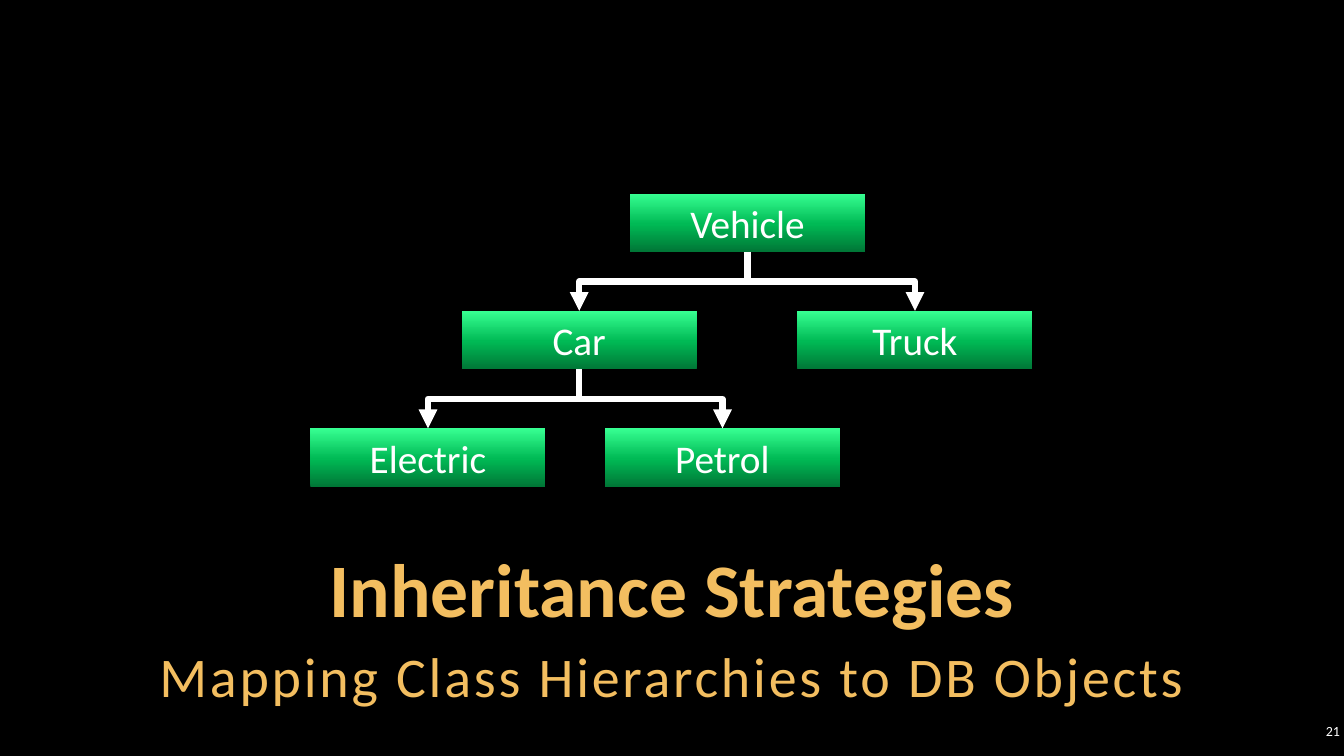
from copy import deepcopy
from pptx import Presentation
from pptx.dml.color import RGBColor
from pptx.enum.shapes import MSO_CONNECTOR, MSO_SHAPE
from pptx.enum.text import MSO_ANCHOR, PP_ALIGN
from pptx.oxml.ns import qn
from pptx.util import Inches, Pt
from lxml import etree

RECT, ELBOW = MSO_SHAPE.RECTANGLE, MSO_CONNECTOR.ELBOW
TOP, MIDDLE, BOTTOM = MSO_ANCHOR.TOP, MSO_ANCHOR.MIDDLE, MSO_ANCHOR.BOTTOM
CENTER, RIGHT = PP_ALIGN.CENTER, PP_ALIGN.RIGHT

COLORS = {"back": "000000", "gold": "F3BE60", "white": "FFFFFF"}
SHADES = [(0, "007636"), (0.48, "00BA55"), (1, "37FF92")]
FONT = "Calibri"
WIDE, HIGH = 13.33, 7.5
BOX_W, BOX_H = 2.33, 0.58
FIRST, PITCH = 1.92, 1.165

NODES = {
    "Vehicle": (6.25, 0),
    "Car": (4.58, 1),
    "Truck": (7.91, 1),
    "Electric": (3.08, 2),
    "Petrol": (6, 2),
}
LINKS = [("Vehicle", "Car"), ("Vehicle", "Truck"),
         ("Car", "Electric"), ("Car", "Petrol")]
TEXTS = [
    ("Inheritance Strategies", (1, 5.42, WIDE - 2, 0.9), 54, "gold", CENTER, BOTTOM),
    ("Mapping Class Hierarchies to DB Objects", (1, 6.29, WIDE - 2, 0.79),
     40, "gold", CENTER, TOP),
    ("21", (WIDE - 0.47, 7.14, 0.47, 0.22), 10, "white", RIGHT, MIDDLE),
]


def rgb(name):
    return RGBColor.from_string(COLORS[name])


def write(shape, text, size, color, align, anchor):
    frame = shape.text_frame
    frame.word_wrap = True
    frame.vertical_anchor = anchor
    para = frame.paragraphs[0]
    para.text = text
    para.alignment = align
    para.font.name = FONT
    para.font.size = Pt(size)
    para.font.color.rgb = rgb(color)
    return para


def add_text(slide, text, area, *style):
    box = slide.shapes.add_textbox(*map(Inches, area))
    para = write(box, text, *style)
    frame = box.text_frame
    frame.margin_left = frame.margin_right = Inches(0.04)
    frame.margin_top = frame.margin_bottom = Inches(0.04)
    return para


def add_node(slide, name):
    left, row = NODES[name]
    area = left, FIRST + row * PITCH, BOX_W, BOX_H
    box = slide.shapes.add_shape(RECT, *map(Inches, area))
    box.shadow.inherit = False
    box.line.fill.background()
    box.fill.gradient()
    box.fill.gradient_angle = 90
    stops = next(box._element.iter(qn("a:gsLst")))
    stops.append(deepcopy(stops[0]))
    for stop, (place, shade) in zip(box.fill.gradient_stops, SHADES):
        stop.position = place
        stop.color.rgb = RGBColor.from_string(shade)
    write(box, name, 28, "white", CENTER, MIDDLE)
    return box


def add_link(slide, start, end):
    x1, y1 = start.left + start.width // 2, start.top + start.height
    x2, y2 = end.left + end.width // 2, end.top
    link = slide.shapes.add_connector(ELBOW, x1, y1, x2, y2)
    link.begin_connect(start, 2)
    link.end_connect(end, 0)
    run, drop = abs(x2 - x1), y2 - y1
    link.left, link.top = (x1 + x2 - drop) // 2, (y1 + y2 - run) // 2
    link.width, link.height = drop, run
    props = link._element.spPr
    frame = props.find(qn("a:xfrm"))
    east = x2 > x1
    frame.set("rot", str((270 if east else 90) * 60000))
    frame.set("flipH", "1" if east else "0")
    frame.set("flipV", "0")
    link.line.color.rgb = rgb("white")
    link.line.width = Pt(4.5)
    etree.SubElement(props.find(qn("a:ln")), qn("a:tailEnd"), type="triangle")
    etree.SubElement(props, qn("a:effectLst"))


def main():
    deck = Presentation()
    deck.slide_width, deck.slide_height = Inches(WIDE), Inches(HIGH)
    slide = deck.slides.add_slide(deck.slide_layouts[6])
    slide.background.fill.solid()
    slide.background.fill.fore_color.rgb = rgb("back")

    title, motto, _ = [add_text(slide, *item) for item in TEXTS]
    title.font.bold = True
    title.line_spacing = Pt(40)
    motto.line_spacing = 1.05
    motto.space_after = Pt(6)
    motto.runs[0].font._element.set("spc", "200")

    boxes = {name: add_node(slide, name) for name in NODES}
    for start, end in LINKS:
        add_link(slide, boxes[start], boxes[end])
    deck.save("out.pptx")


if __name__ == "__main__":
    main()
